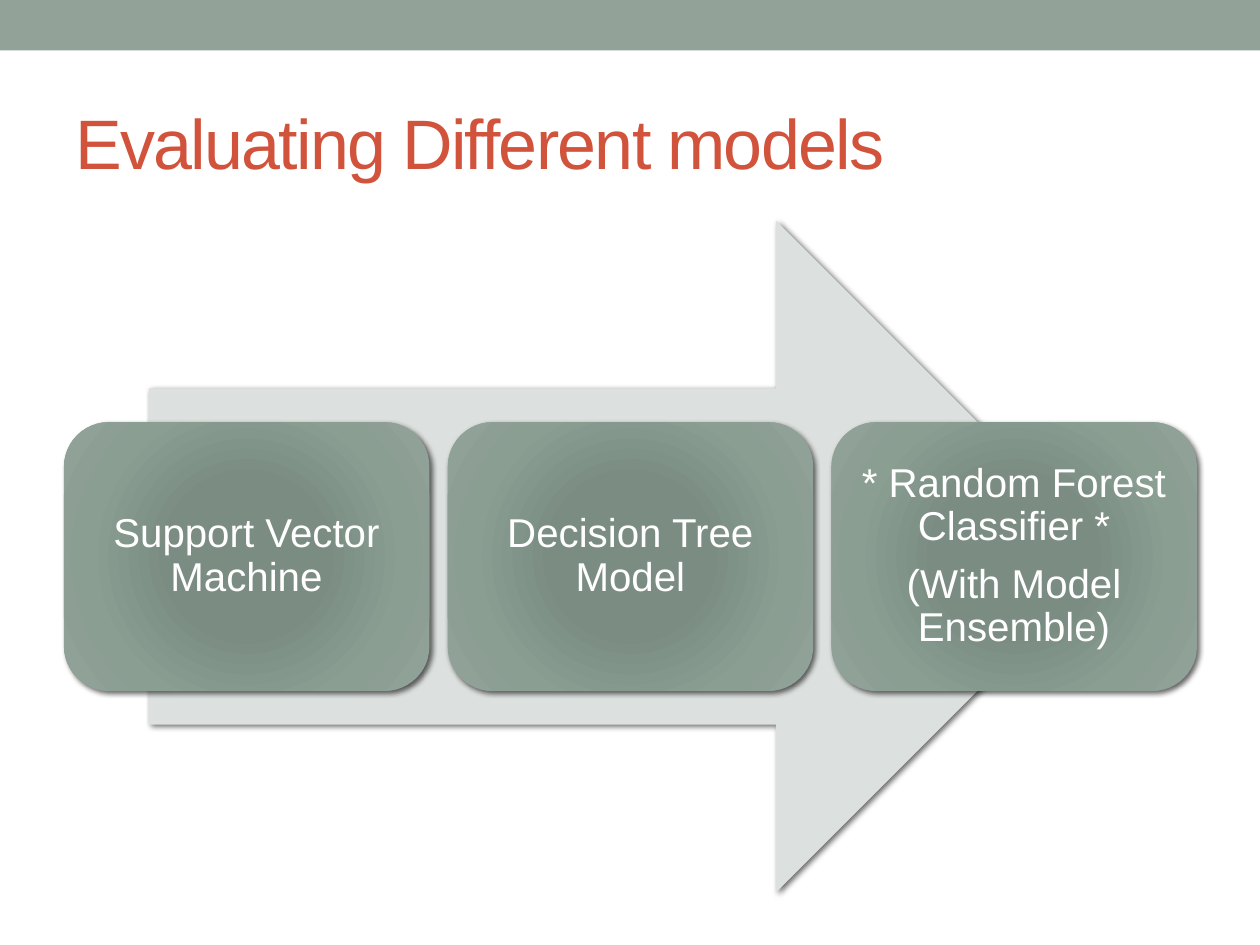
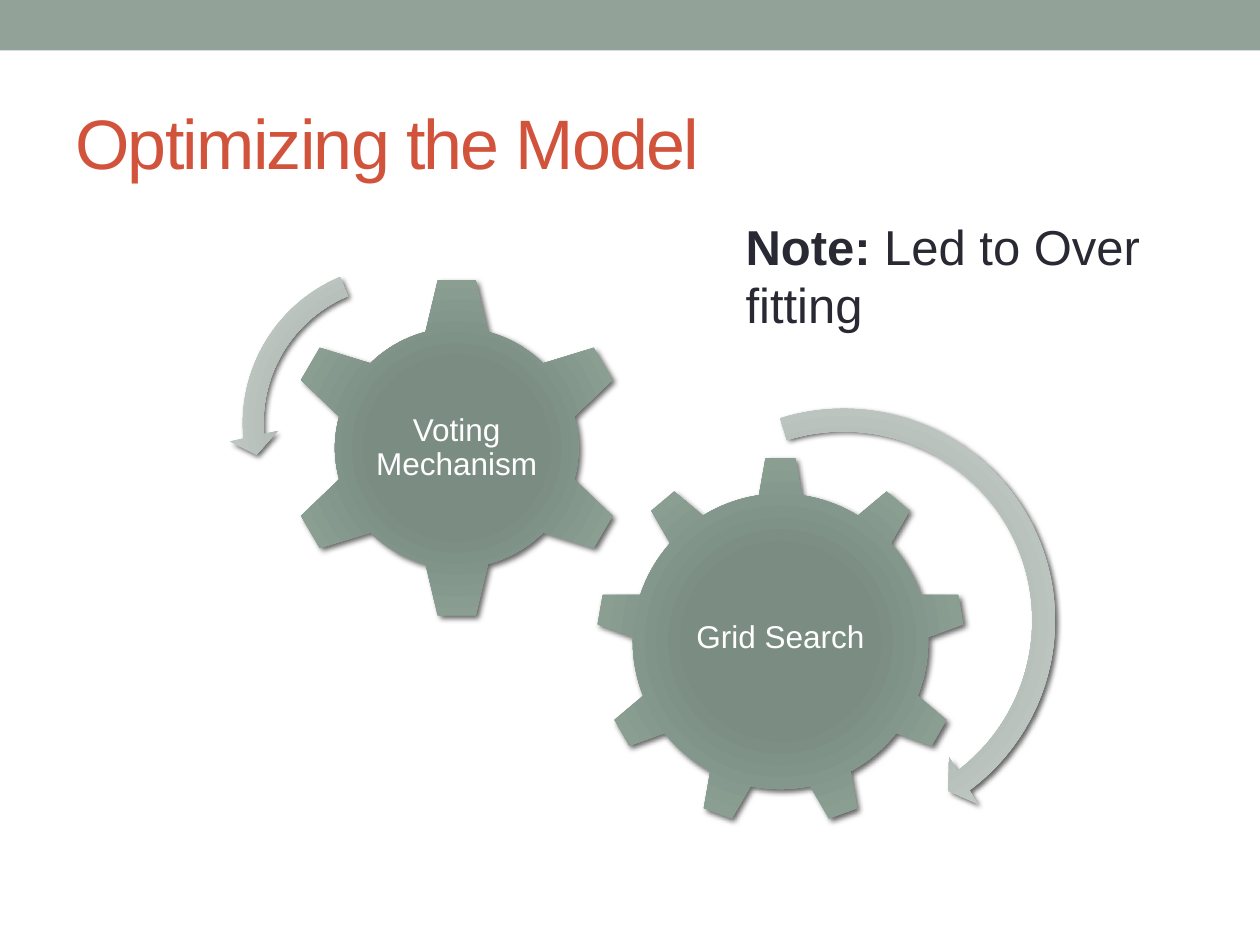
import dataclasses

import lxml.etree
import pptx
import pptx.dml.color
import pptx.enum.shapes
import pptx.enum.text
import pptx.oxml
import pptx.oxml.ns
import pptx.util

Pt = pptx.util.Pt
RGB = pptx.dml.color.RGBColor.from_string
SHAPE = pptx.enum.shapes.MSO_SHAPE
ALIGN = pptx.enum.text.PP_ALIGN
ANCHOR = pptx.enum.text.MSO_ANCHOR
qn = pptx.oxml.ns.qn
NS = pptx.oxml.ns.nsdecls("a")


@dataclasses.dataclass(frozen=True)
class Theme:
    font: str = "Arial"
    band: str = "93A299"
    title: str = "D2533C"
    body: str = "292934"
    light: str = "FFFFFF"
    arrow: str = "DCE0DE"
    sage: tuple = ("7B8E82", "7B8D83", "8A9E92", "93A299")
    mist: tuple = ("AAB2AD", "AAB1AD", "BDC6C1", "C8CECA")
    stops: tuple = (0, 34, 70, 100)
    title_size: int = 40
    note_size: int = 28
    step_size: int = 23
    gear_size: int = 18


THEME = Theme()


def set_font(p, size, color):
    p.font.name = THEME.font
    p.font.size = Pt(size)
    p.font.color.rgb = RGB(color)


def add_flat(s, kind, box, color):
    sp = s.shapes.add_shape(kind, *map(Pt, box))
    sp.shadow.inherit = False
    sp.fill.solid()
    sp.fill.fore_color.rgb = RGB(color)
    sp.line.fill.background()
    return sp


def add_shadow(sp):
    effects = sp._element.spPr.find(qn("a:effectLst"))
    effects.append(pptx.oxml.parse_xml(
        f'<a:outerShdw {NS} blurRad="{Pt(3)}" dist="{Pt(2)}" dir="2700000" '
        'algn="br" rotWithShape="0"><a:srgbClr val="000000">'
        '<a:alpha val="60000"/></a:srgbClr></a:outerShdw>'))


def add_glossy(s, kind, box, colors, adjustments=()):
    sp = add_flat(s, kind, box, colors[0])
    add_shadow(sp)
    for i, value in enumerate(adjustments):
        sp.adjustments[i] = value
    stops = "".join(
        f'<a:gs pos="{pos * 1000}"><a:srgbClr val="{color}"/></a:gs>'
        for pos, color in zip(THEME.stops, colors))
    gradient = pptx.oxml.parse_xml(
        f'<a:gradFill {NS} rotWithShape="1"><a:gsLst>{stops}</a:gsLst>'
        '<a:path path="circle"><a:fillToRect l="100000" t="100000" '
        'r="100000" b="100000"/></a:path></a:gradFill>')
    spPr = sp._element.spPr
    spPr.replace(spPr.find(qn("a:solidFill")), gradient)
    return sp


def add_label(sp, lines, size, inset):
    tf = sp.text_frame
    tf.word_wrap = True
    tf.vertical_anchor = ANCHOR.MIDDLE
    tf.margin_left = tf.margin_right = Pt(inset)
    tf.margin_top = tf.margin_bottom = Pt(inset)
    tf.text = "\n".join(lines)
    for p in tf.paragraphs:
        p.alignment = ALIGN.CENTER
        p.line_spacing = 0.9
        p.space_after = Pt(size * 0.35)
        set_font(p, size, THEME.light)


def add_text(s, box):
    tf = s.shapes.add_textbox(*map(Pt, box)).text_frame
    tf.word_wrap = True
    return tf


def add_titled_slide(prs, title):
    s = prs.slides.add_slide(prs.slide_layouts[6])
    add_flat(s, SHAPE.RECTANGLE, (0, 0, 720, 28.8), THEME.band)
    tf = add_text(s, (36, 42, 648, 77.5))
    tf.vertical_anchor = ANCHOR.MIDDLE
    p = tf.paragraphs[0]
    r = p.add_run()
    r.text = title
    r._r.get_or_add_rPr().set("spc", "-100")
    set_font(p, THEME.title_size, THEME.title)
    return s


def add_process(s, box, steps):
    x, y, w, h = box
    arrow = add_flat(s, SHAPE.RIGHT_ARROW,
                     (x + w * 0.075, y, w * 0.85, h), THEME.arrow)
    add_shadow(arrow)
    gap_ratio = 0.05
    step_w = w / (len(steps) + gap_ratio * (len(steps) - 1))
    pitch = step_w * (1 + gap_ratio)
    for i, lines in enumerate(steps):
        step = add_glossy(s, SHAPE.ROUNDED_RECTANGLE,
                          (x + i * pitch, y + h * 0.3, step_w, h * 0.4),
                          THEME.sage)
        add_label(step, lines, THEME.step_size, 7)


def add_gears(s, box):
    x, y = box[:2]
    gears = (
        (SHAPE.GEAR_9, (209.5, 117.5, 211, 211), "Grid Search"),
        (SHAPE.GEAR_6, (31, 14.5, 198, 196), "Voting Mechanism"),
    )
    turns = (
        (SHAPE.CIRCULAR_ARROW, (221, 81, 260, 260),
         (0.05, 3.13, 31.91, 151.57, 0.06)),
        (SHAPE.LEFT_CIRCULAR_ARROW, (0, 0, 196.5, 196.5),
         (0.06, 4.3, 104.89, 148.38, 0.07)),
    )
    for kind, (dx, dy, w, h), name in gears:
        gear = add_glossy(s, kind, (x + dx, y + dy, w, h), THEME.sage)
        add_label(gear, [name], THEME.gear_size, 2)
    for kind, (dx, dy, w, h), adjustments in turns:
        add_glossy(s, kind, (x + dx, y + dy, w, h), THEME.mist, adjustments)


def add_note(s, box, heading, text):
    p = add_text(s, box).paragraphs[0]
    for content, bold in ((heading, True), (text, False)):
        r = p.add_run()
        r.text = content
        r.font.bold = bold
    set_font(p, THEME.note_size, THEME.body)


def main():
    prs = pptx.Presentation()
    prs.slide_width, prs.slide_height = Pt(720), Pt(540)

    s = add_titled_slide(prs, "Evaluating Different models")
    add_process(s, (36.5, 126, 647.5, 384), (
        ["Support Vector Machine"],
        ["Decision Tree Model"],
        ["* Random Forest Classifier *", "(With Model Ensemble)"],
    ))

    s = add_titled_slide(prs, "Optimizing the Model")
    add_gears(s, (131, 143.5, 481, 341))
    add_note(s, (419, 120, 265, 75), "Note: ", "Led to Over fitting")

    prs.save("out.pptx")


if __name__ == "__main__":
    main()
